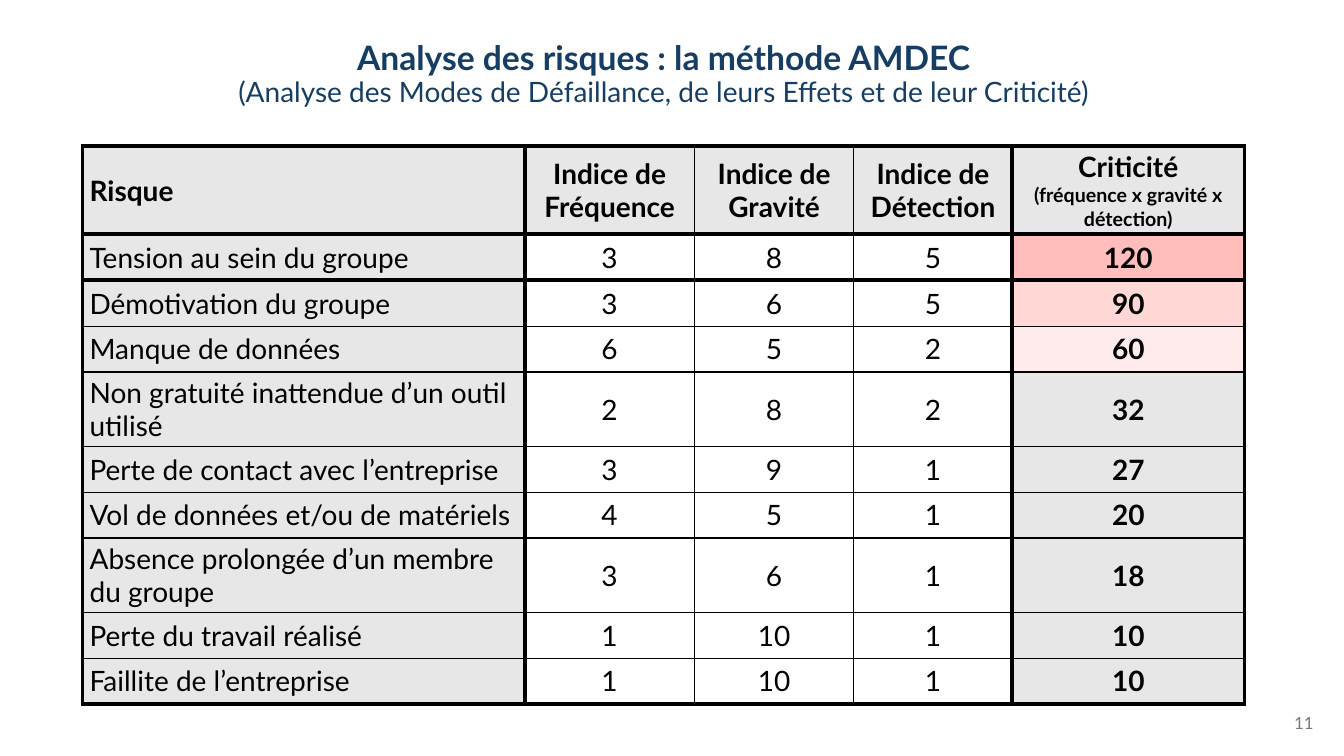
from dataclasses import dataclass

from lxml.etree import SubElement
from pptx import Presentation
from pptx.dml.color import RGBColor
from pptx.enum.text import MSO_ANCHOR as Anchor, PP_ALIGN as Align
from pptx.oxml.ns import qn
from pptx.util import Pt

FONT = "Lato"
NAVY, BLACK, GREY, PAGE_GREY, RED = "163E64", "000000", "E7E7E7", "797979", "FF7E79"
THIN, THICK = 1, 3
COLUMN_WIDTHS = [316, 121, 114, 113, 166]
HEADER_HEIGHT, LINE_HEIGHT, TWO_LINE_HEIGHT = 63, 32.8, 53
HEADERS = ["Risque", "Indice de Fréquence", "Indice de Gravité", "Indice de Détection", "Criticité"]
FORMULA = "(fréquence x gravité x détection)"


@dataclass
class Risk:
    name: str
    frequency: int
    severity: int
    detection: int
    height: float = LINE_HEIGHT
    red_opacity: int = 0

    def texts(self) -> list[str]:
        indices = [self.frequency, self.severity, self.detection]
        criticality = self.frequency * self.severity * self.detection
        return [self.name, *map(str, indices), str(criticality)]


RISKS = [
    Risk("Tension au sein du groupe", 3, 8, 5, red_opacity=50),
    Risk("Démotivation du groupe", 3, 6, 5, red_opacity=30),
    Risk("Manque de données", 6, 5, 2, red_opacity=15),
    Risk("Non gratuité inattendue d’un outil utilisé", 2, 8, 2, TWO_LINE_HEIGHT),
    Risk("Perte de contact avec l’entreprise", 3, 9, 1),
    Risk("Vol de données et/ou de matériels", 4, 5, 1),
    Risk("Absence prolongée d’un membre du groupe", 3, 6, 1, TWO_LINE_HEIGHT),
    Risk("Perte du travail réalisé", 1, 10, 1),
    Risk("Faillite de l’entreprise", 1, 10, 1),
]
LAST_COLUMN = len(HEADERS) - 1
THICK_COLUMN_EDGES = {0, 1, LAST_COLUMN, LAST_COLUMN + 1}
THICK_ROW_EDGES = {0, 1, 2, len(RISKS) + 1}


def color(value: str) -> RGBColor:
    return RGBColor.from_string(value)


def set_font(font, size: float, value: str, bold: bool = False) -> None:
    font.name = FONT
    font.size = Pt(size)
    font.bold = bold
    font.color.rgb = color(value)


def set_borders(cell, row: int, column: int) -> None:
    edges = {
        "L": column in THICK_COLUMN_EDGES,
        "R": column + 1 in THICK_COLUMN_EDGES,
        "T": row in THICK_ROW_EDGES,
        "B": row + 1 in THICK_ROW_EDGES,
    }
    properties = cell._tc.get_or_add_tcPr()
    for side, is_thick in edges.items():
        width = Pt(THICK if is_thick else THIN)
        line = SubElement(properties, qn(f"a:ln{side}"), w=str(width))
        SubElement(SubElement(line, qn("a:solidFill")), qn("a:srgbClr"), val=BLACK)


def set_fill(cell, value: str, opacity: int = 100) -> None:
    cell.fill.solid()
    cell.fill.fore_color.rgb = color(value)
    if opacity < 100:
        tint = cell._tc.tcPr.find(f"{qn('a:solidFill')}/{qn('a:srgbClr')}")
        SubElement(tint, qn("a:alpha"), val=str(opacity * 1000))


def fill_cell(cell, row: int, column: int, text: str, red_opacity: int = 0) -> None:
    cell.margin_left = cell.margin_right = Pt(5)
    cell.margin_top = cell.margin_bottom = Pt(2)
    cell.vertical_anchor = Anchor.MIDDLE
    set_borders(cell, row, column)
    if column == LAST_COLUMN and red_opacity:
        set_fill(cell, RED, red_opacity)
    elif row == 0 or column in (0, LAST_COLUMN):
        set_fill(cell, GREY)
    else:
        cell.fill.background()
    para = cell.text_frame.paragraphs[0]
    para.text = text
    para.alignment = Align.CENTER if column else Align.LEFT
    set_font(para.font, 20, BLACK, bold=row == 0 or column == LAST_COLUMN)


def add_title(page) -> None:
    title = page.shapes.title
    title.left, title.top, title.width, title.height = Pt(50.4), Pt(20), Pt(847.4), Pt(67)
    title.text_frame.vertical_anchor = Anchor.MIDDLE
    para = title.text_frame.paragraphs[0]
    para.alignment = Align.CENTER
    para.line_spacing = 0.9
    heading = para.add_run()
    heading.text = "Analyse des risques : la méthode AMDEC"
    set_font(heading.font, 24, NAVY, bold=True)
    para.add_line_break()
    subtitle = para.add_run()
    subtitle.text = "(Analyse des Modes de Défaillance, de leurs Effets et de leur Criticité)"
    set_font(subtitle.font, 20, NAVY)


def add_risk_table(page) -> None:
    heights = [HEADER_HEIGHT, *(risk.height for risk in RISKS)]
    table = page.shapes.add_table(
        len(heights), len(HEADERS), Pt(59), Pt(104.4), Pt(sum(COLUMN_WIDTHS)), Pt(sum(heights))
    ).table
    table.horz_banding = False
    for column, width in zip(table.columns, COLUMN_WIDTHS):
        column.width = Pt(width)
    for row, height in zip(table.rows, heights):
        row.height = Pt(height)
    for column, header in enumerate(HEADERS):
        fill_cell(table.cell(0, column), 0, column, header)
    for row, risk in enumerate(RISKS, 1):
        for column, text in enumerate(risk.texts()):
            fill_cell(table.cell(row, column), row, column, text, risk.red_opacity)
    formula = table.cell(0, LAST_COLUMN).text_frame.add_paragraph()
    formula.text = FORMULA
    formula.alignment = Align.CENTER
    set_font(formula.font, 14, BLACK, bold=True)


def add_page_number(page) -> None:
    box = page.shapes.add_textbox(Pt(912), Pt(494), Pt(33.4), Pt(44.6))
    box.text_frame.word_wrap = True
    box.text_frame.vertical_anchor = Anchor.MIDDLE
    para = box.text_frame.paragraphs[0]
    para.text = "11"
    para.alignment = Align.RIGHT
    set_font(para.font, 12, PAGE_GREY)


def main() -> None:
    deck = Presentation()
    deck.slide_width, deck.slide_height = Pt(960), Pt(540)
    page = deck.slides.add_slide(deck.slide_layouts.get_by_name("Title Only"))
    add_title(page)
    add_risk_table(page)
    add_page_number(page)
    deck.save("out.pptx")


if __name__ == "__main__":
    main()
